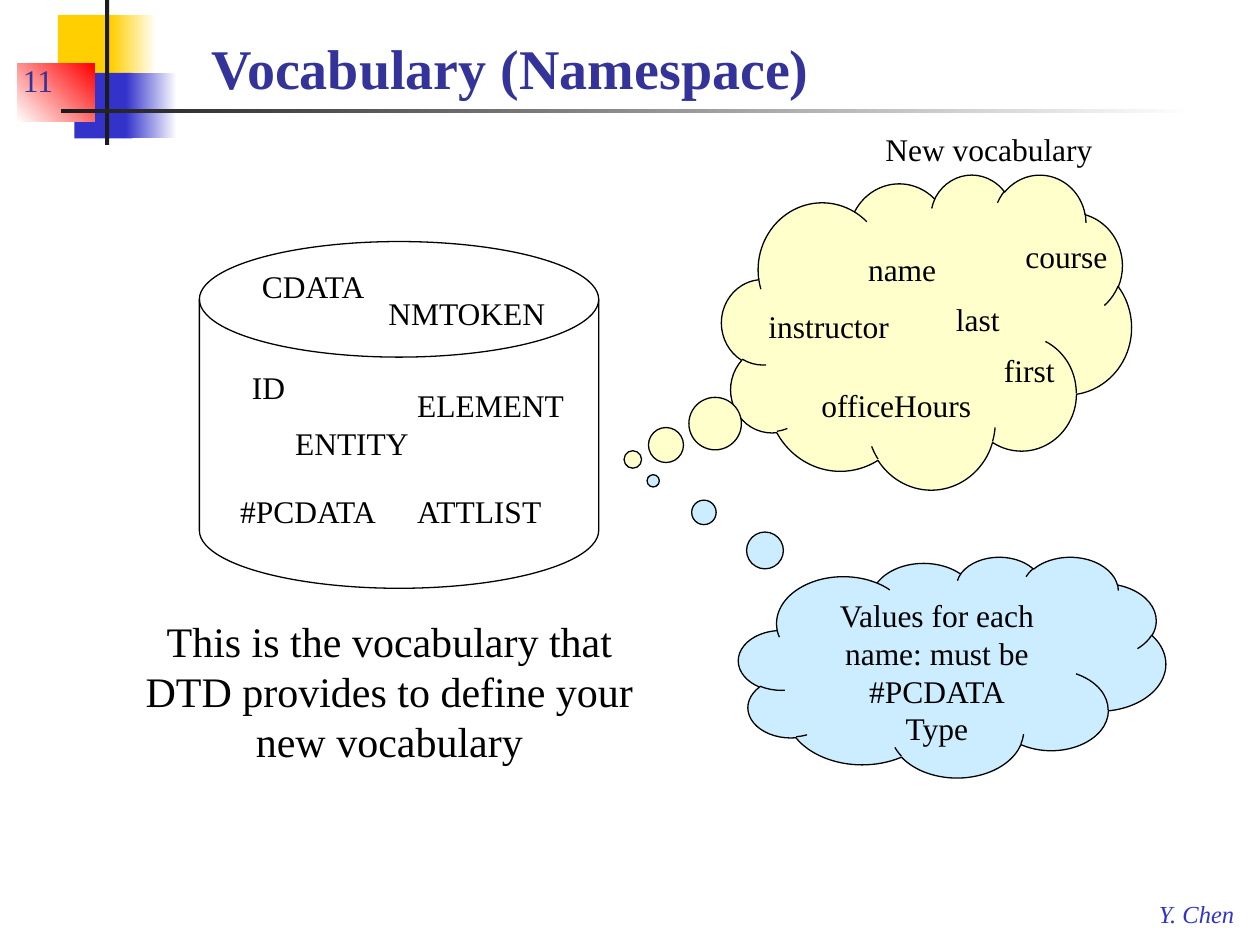
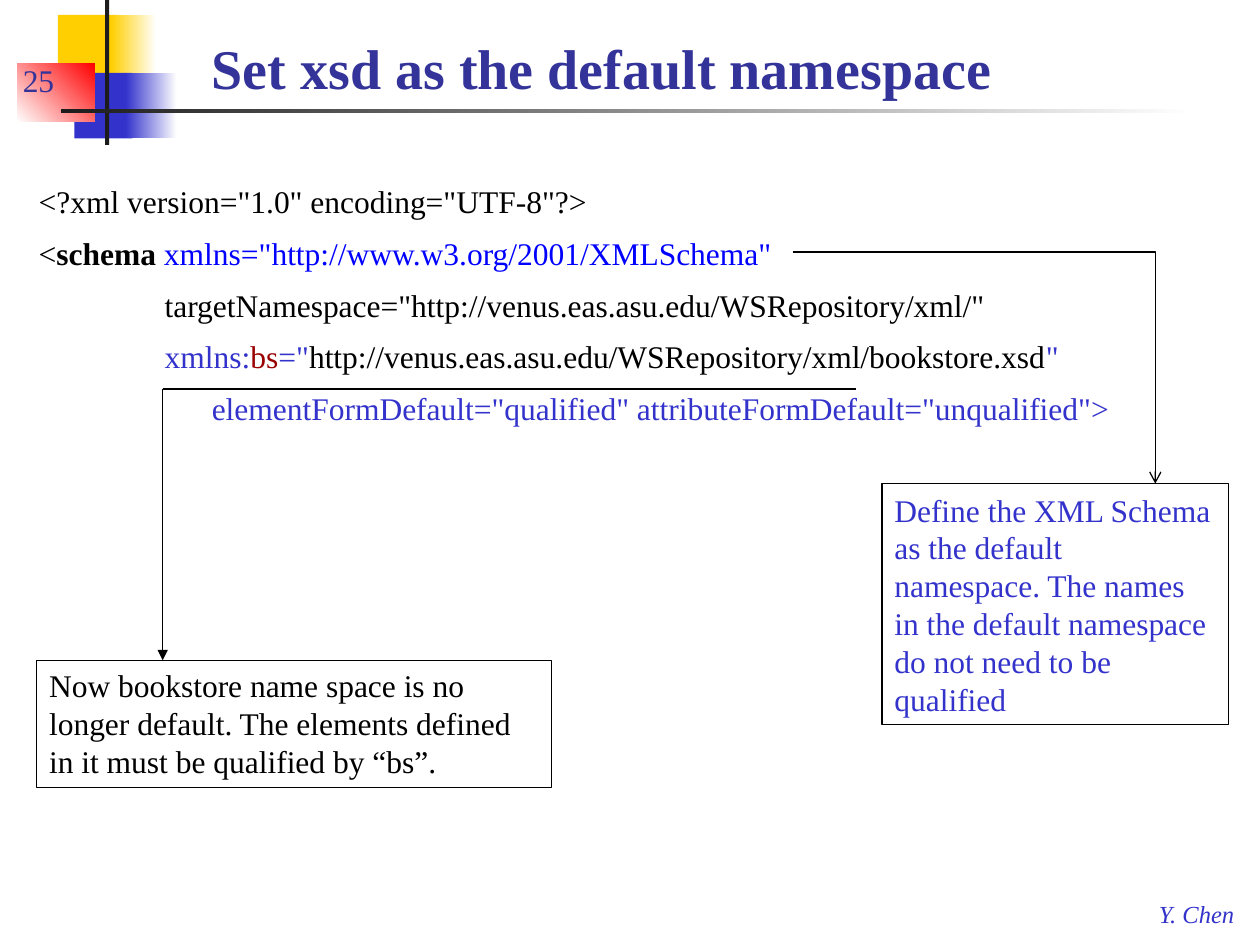
from lxml import etree
from pptx import Presentation
from pptx.dml.color import RGBColor
from pptx.enum.shapes import MSO_CONNECTOR, MSO_SHAPE
from pptx.enum.text import MSO_ANCHOR, MSO_AUTO_SIZE, PP_ALIGN
from pptx.oxml.ns import qn
from pptx.util import Cm, Pt

FONT = "Times New Roman"
BLACK = RGBColor(0x00, 0x00, 0x00)
WHITE = RGBColor(0xFF, 0xFF, 0xFF)
CHARCOAL = RGBColor(0x1C, 0x1C, 0x1C)
YELLOW = RGBColor(0xFF, 0xCF, 0x01)
RED = RGBColor(0xFF, 0x00, 0x00)
BLUE = RGBColor(0x33, 0x33, 0xCC)
NAVY = RGBColor(0x33, 0x33, 0x99)
LINK_BLUE = RGBColor(0x00, 0x00, 0xFF)
MAROON = RGBColor(0x99, 0x00, 0x00)
CREAM = RGBColor(0xFF, 0xFF, 0xCC)
SKY = RGBColor(0xCC, 0xEC, 0xFF)

# Corner ornament: box in cm, start colour, end colour (None = solid), angle
ORNAMENT = [
    ((1.17, 0.3, 1.22, 1.32), YELLOW, None, 0),
    ((2.24, 0.3, 0.91, 1.32), YELLOW, WHITE, 0),
    ((1.5, 1.47, 1.17, 1.32), BLUE, None, 0),
    ((2.54, 1.47, 1.02, 1.32), BLUE, WHITE, 0),
    ((0.35, 1.28, 1.56, 1.18), WHITE, RED, 45),
    ((2.12, 0, 0.08, 2.92), CHARCOAL, None, 0),
    ((1.23, 2.2, 22.86, 0.08), CHARCOAL, WHITE, 0),
]

# Words: text, left, top, width in cm
DTD_WORDS = [
    ("ELEMENT", 8.41, 7.79, 3.12),
    ("ATTLIST", 8.41, 9.92, 2.74),
    ("#PCDATA", 4.84, 9.92, 3.02),
    ("CDATA", 5.28, 5.38, 2.34),
    ("ENTITY", 5.95, 8.55, 2.46),
    ("ID", 5.08, 7.42, 0.84),
    ("NMTOKEN", 7.83, 5.92, 3.33),
]
NEW_WORDS = [
    ("instructor", 15.24, 6.06, 2.95),
    ("name", 17.25, 4.91, 1.88),
    ("first", 19.99, 6.96, 1.55),
    ("last", 19.02, 5.93, 1.4),
    ("course", 20.42, 4.65, 2.16),
    ("officeHours", 16.31, 7.66, 3.68),
    ("New vocabulary", 17.6, 2.49, 4.7),
]

# Code lines: indent in cm, then runs of text, colour, bold
SCHEMA_CODE = [
    (0, [('<?xml version="1.0" encoding="UTF-8"?>', BLACK, False)]),
    (0, [("<", BLACK, False), ("schema ", BLACK, True),
         ('xmlns="http://www.w3.org/2001/XMLSchema"', LINK_BLUE, False)]),
    (2.54, [('targetNamespace="http://venus.eas.asu.edu/WSRepository/xml/"',
             BLACK, False)]),
    (2.54, [("xmlns:", BLUE, False), ("bs", MAROON, False), ('="', BLUE, False),
            ("http://venus.eas.asu.edu/WSRepository/xml/bookstore.xsd",
             BLACK, False),
            ('"', BLUE, False)]),
    (3.49, [('elementFormDefault="qualified" attributeFormDefault="unqualified">',
             BLUE, False)]),
]


def lengths(values):
    return [Cm(value) for value in values]


def write(shape, lines, size=18, color=BLACK, bold=False, italic=False,
          align=PP_ALIGN.LEFT, anchor=MSO_ANCHOR.TOP, wrap=True):
    """Fill a shape with paragraphs in one style."""
    frame = shape.text_frame
    frame.word_wrap = wrap
    if not wrap:
        frame.auto_size = MSO_AUTO_SIZE.SHAPE_TO_FIT_TEXT
    frame.vertical_anchor = anchor
    frame.text = "\n".join(lines)
    for paragraph in frame.paragraphs:
        paragraph.alignment = align
        font = paragraph.font
        font.name, font.size = FONT, Pt(size)
        font.bold, font.italic = bold, italic
        font.color.rgb = color


def add_text(slide, box, text, **style):
    shape = slide.shapes.add_textbox(*lengths(box))
    write(shape, [text], **style)
    return shape


def add_outlined(slide, kind, box, fill):
    shape = slide.shapes.add_shape(kind, *lengths(box))
    shape.shadow.inherit = False
    shape.fill.solid()
    shape.fill.fore_color.rgb = fill
    shape.line.color.rgb = BLACK
    shape.line.width = Pt(0.75)
    return shape


def add_cloud(slide, box, fill, tail):
    cloud = add_outlined(slide, MSO_SHAPE.CLOUD_CALLOUT, box, fill)
    cloud.adjustments[0], cloud.adjustments[1] = tail
    return cloud


def add_note(slide, box, text, **style):
    note = add_outlined(slide, MSO_SHAPE.RECTANGLE, box, WHITE)
    note.text_frame.margin_right = Cm(0.35)
    write(note, [text], **style)


def add_block(slide, box, start, end, angle):
    block = slide.shapes.add_shape(MSO_SHAPE.RECTANGLE, *lengths(box))
    block.shadow.inherit = False
    block.line.fill.background()
    if end is None:
        block.fill.solid()
        block.fill.fore_color.rgb = start
        return
    block.fill.gradient()
    block.fill.gradient_angle = angle
    for stop, color in zip(block.fill.gradient_stops, (start, end)):
        stop.color.rgb = color


def style_line(shape, arrowhead=None):
    shape.line.color.rgb = BLACK
    shape.line.width = Pt(0.75)
    if arrowhead:
        line = shape.line._get_or_add_ln()
        etree.SubElement(line, qn("a:tailEnd"), type=arrowhead)


def add_line(slide, start, end, arrowhead=None):
    line = slide.shapes.add_connector(MSO_CONNECTOR.STRAIGHT,
                                      *lengths(start + end))
    style_line(line, arrowhead)
    etree.SubElement(line._element.spPr, qn("a:effectLst"))


def add_elbow_arrow(slide, start, *points):
    builder = slide.shapes.build_freeform(*lengths(start))
    builder.add_line_segments([lengths(point) for point in points], close=False)
    arrow = builder.convert_to_shape()
    arrow.fill.background()
    style_line(arrow, "arrow")
    arrow.shadow.inherit = False


def add_code(slide, box, code):
    frame = slide.shapes.add_textbox(*lengths(box)).text_frame
    frame.word_wrap = True
    for index, (indent, runs) in enumerate(code):
        paragraph = frame.add_paragraph() if index else frame.paragraphs[0]
        paragraph._p.get_or_add_pPr().set("marL", str(Cm(indent)))
        paragraph.line_spacing = 1.2
        paragraph.space_before = Pt(3.6 if index else 0)
        paragraph.font.name, paragraph.font.size = FONT, Pt(18)
        for text, color, bold in runs:
            run = paragraph.add_run()
            run.text = text
            run.font.color.rgb = color
            run.font.bold = bold


def add_base_slide(presentation, number, title):
    """Blank slide with ornament, footer, number and title."""
    slide = presentation.slides.add_slide(presentation.slide_layouts[6])
    for block in ORNAMENT:
        add_block(slide, *block)
    add_text(slide, (23.11, 17.99, 2.08, 0.84), "Y. Chen", size=14,
             color=BLUE, italic=True, wrap=False)
    add_text(slide, (0.21, 0.84, 5.28, 1.27), str(number), color=NAVY,
             anchor=MSO_ANCHOR.BOTTOM)
    add_text(slide, (4.02, 0.43, 21.16, 1.73), title, size=32, color=NAVY,
             bold=True, anchor=MSO_ANCHOR.BOTTOM)
    return slide


def build_vocabulary(presentation):
    slide = add_base_slide(presentation, 11, "Vocabulary (Namespace)")

    # DTD vocabulary store
    add_outlined(slide, MSO_SHAPE.FLOWCHART_MAGNETIC_DISK,
                 (4.02, 4.87, 8.05, 6.99), WHITE)
    for word, left, top, width in DTD_WORDS:
        label = add_text(slide, (left, top, width, 0.76), word,
                         anchor=MSO_ANCHOR.MIDDLE, wrap=False)
        frame = label.text_frame
        frame.margin_left = frame.margin_right = 0
        frame.margin_top = frame.margin_bottom = 0
    add_text(slide, (2.59, 12.26, 10.52, 3.33),
             "This is the vocabulary that DTD provides to define your "
             "new vocabulary",
             size=24, align=PP_ALIGN.CENTER, anchor=MSO_ANCHOR.MIDDLE)

    # New vocabulary and its values
    add_cloud(slide, (14.55, 3.51, 8.26, 6.35), CREAM, (-0.717, 0.406))
    for word, left, top, width in NEW_WORDS:
        add_text(slide, (left, top, width, 1.02), word, wrap=False)
    values = add_cloud(slide, (14.89, 11.22, 8.61, 4.45), SKY, (-0.7, -0.843))
    write(values, ["Values for each name: must be", "#PCDATA", "Type"],
          align=PP_ALIGN.CENTER)


def build_default_namespace(presentation):
    slide = add_base_slide(presentation, 25, "Set xsd as the default namespace")
    add_code(slide, (0.53, 3.4, 23.16, 5.92), SCHEMA_CODE)

    # Default namespace note
    add_note(slide, (17.78, 9.75, 6.99, 4.85),
             "Define the XML Schema as the default namespace. The names in "
             "the default namespace do not need to be qualified",
             color=BLUE, anchor=MSO_ANCHOR.MIDDLE)
    add_elbow_arrow(slide, (15.98, 5.08), (23.29, 5.08), (23.29, 9.75))

    # Bookstore namespace note
    add_note(slide, (0.74, 13.31, 10.38, 2.57),
             "Now bookstore name space is no longer default. The elements "
             "defined in it must be qualified by “bs”.")
    corner = (3.28, 7.84)
    add_line(slide, corner, (17.25, 7.84))
    add_line(slide, corner, (3.28, 13.31), "triangle")


def main():
    presentation = Presentation()
    presentation.slide_width = Cm(25.4)
    presentation.slide_height = Cm(19.05)
    build_vocabulary(presentation)
    build_default_namespace(presentation)
    presentation.save("out.pptx")


if __name__ == "__main__":
    main()
